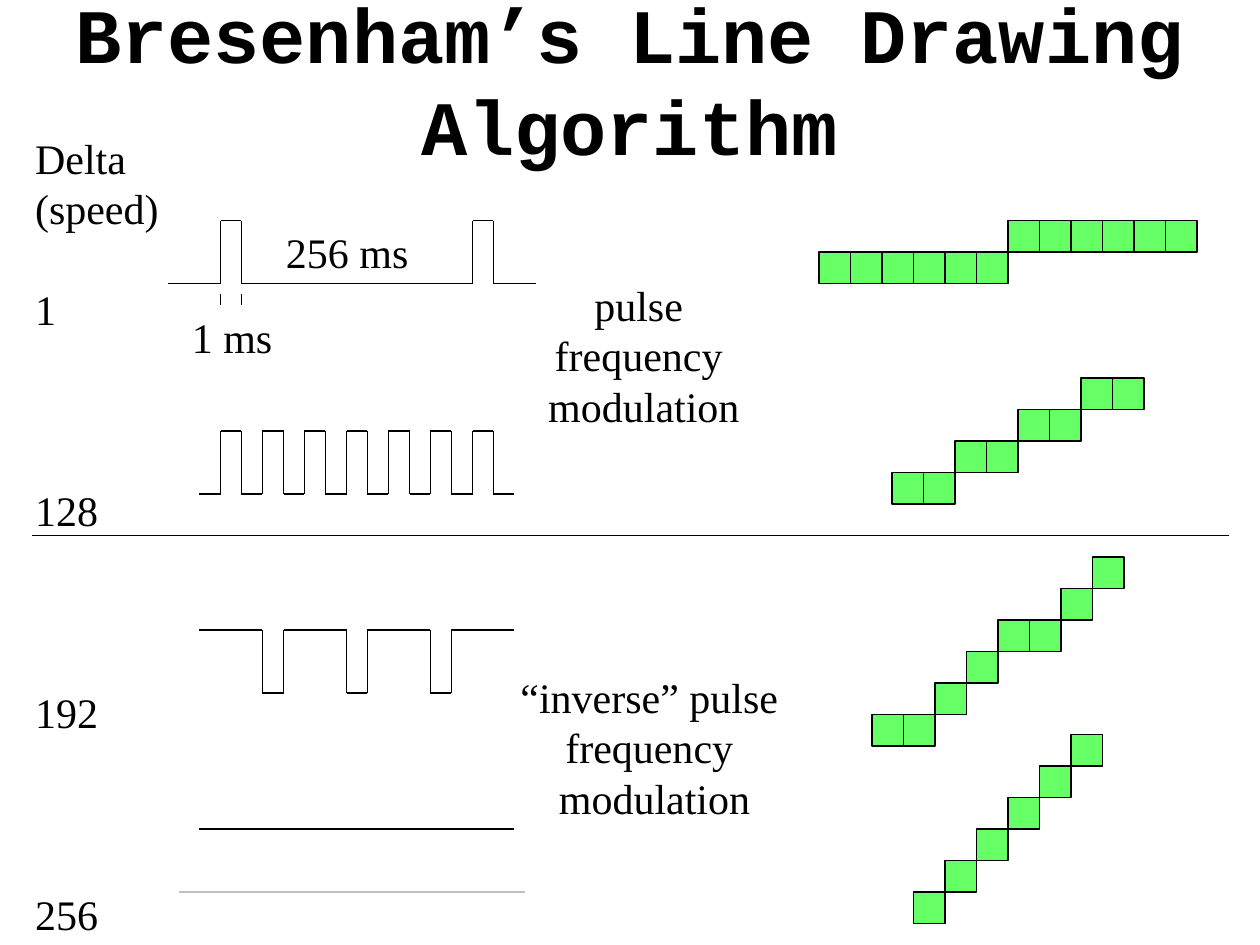
from itertools import pairwise

from lxml.etree import SubElement
from pptx import Presentation
from pptx.dml.color import RGBColor
from pptx.enum.shapes import MSO_CONNECTOR, MSO_SHAPE
from pptx.enum.text import MSO_ANCHOR, MSO_AUTO_SIZE, PP_ALIGN
from pptx.oxml.ns import qn
from pptx.util import Inches, Pt

BLACK = RGBColor(0, 0, 0)
GRAY = RGBColor(0xC0, 0xC0, 0xC0)
GREEN = RGBColor(0x66, 0xFF, 0x66)
THIN = Pt(0.75)
LINE_PITCH = 28.8  # points per line of 24 pt text

TITLE = "Bresenham’s Line Drawing Algorithm"
# text, lines skipped above it
SPEEDS = [("Delta (speed)", 0), ("1", 1), ("128", 3), ("192", 3), ("256", 3)]
# box, alignment, lines
NOTES = [
    ((1.42, 2.42, 0.84, 0.5), PP_ALIGN.RIGHT, ["1 ms"]),
    ((2.17, 1.75, 1.17, 0.5), PP_ALIGN.RIGHT, ["256 ms"]),
    ((4.25, 2.17, 1.72, 1.3), PP_ALIGN.CENTER,
     ["pulse ", "frequency ", "modulation"]),
    ((4.03, 5.28, 2.33, 1.3), PP_ALIGN.CENTER,
     ["“inverse” pulse ", "frequency ", "modulation"]),
]

TICK = 1 / 6  # width of one pulse
ORIGIN = 1.75  # left edge of the first pulse
# first tick, last tick, rest level, pulse level, ticks where pulses start
WAVES = [
    (-2.5, 15, 2.25, 1.75, [0, 12]),
    (-1, 14, 3.92, 3.42, range(0, 13, 2)),
    (-1, 14, 5, 5.5, [2, 6, 10]),
    (-1, 14, 6.58, 6.58, []),
]

PIXEL = 0.25
# left, top of the lowest row, pixels in each row going up
STAIRS = [
    (6.5, 2, [6, 6]),
    (7.08, 3.75, [2, 2, 2, 2]),
    (6.92, 5.67, [2, 1, 1, 2, 1, 1]),
    (7.25, 7.08, [1] * 6),
]


def add_line(s, start, end, color=BLACK):
    points = [Inches(v) for v in (*start, *end)]
    line = s.shapes.add_connector(MSO_CONNECTOR.STRAIGHT, *points)
    line.line.color.rgb = color
    line.line.width = THIN
    SubElement(line._element.spPr, qn("a:effectLst"))


def add_wave(s, first, last, rest, pulse, starts):
    points = [(first, rest)]
    for t in starts:
        points += [(t, rest), (t, pulse), (t + 1, pulse), (t + 1, rest)]
    points.append((last, rest))
    for start, end in pairwise([(ORIGIN + t * TICK, y) for t, y in points]):
        add_line(s, start, end)


def add_pixel(s, x, y):
    sp = s.shapes.add_shape(MSO_SHAPE.RECTANGLE, Inches(x), Inches(y),
                            Inches(PIXEL), Inches(PIXEL))
    sp.shadow.inherit = False
    sp.fill.solid()
    sp.fill.fore_color.rgb = GREEN
    sp.line.color.rgb = BLACK
    sp.line.width = THIN


def style(p, align, name, size, bold=False):
    p.alignment = align
    p.font.name = name
    p.font.size = Pt(size)
    p.font.bold = bold
    p.font.color.rgb = BLACK


def add_text(s, box, align, lines):
    """Add a text box from (text, lines skipped above) pairs."""
    tf = s.shapes.add_textbox(*map(Inches, box)).text_frame
    tf.word_wrap = False
    tf.auto_size = MSO_AUTO_SIZE.SHAPE_TO_FIT_TEXT
    for i, (text, skipped) in enumerate(lines):
        p = tf.add_paragraph() if i else tf.paragraphs[0]
        p.text = text
        if skipped:
            p.space_before = Pt(skipped * LINE_PITCH)
        style(p, align, "Times New Roman", 24)


def main():
    prs = Presentation()
    prs.slide_width, prs.slide_height = Inches(10), Inches(7.5)
    s = prs.slides.add_slide(prs.slide_layouts[5])

    title = s.shapes.title
    title.left, title.top = Inches(0), Inches(0)
    title.width, title.height = Inches(10), Inches(1.25)
    tf = title.text_frame
    tf.text = TITLE
    tf.word_wrap = True
    tf.auto_size = MSO_AUTO_SIZE.NONE
    tf.vertical_anchor = MSO_ANCHOR.MIDDLE
    style(tf.paragraphs[0], PP_ALIGN.CENTER, "Courier New", 44, bold=True)

    for wave in WAVES:
        add_wave(s, *wave)
    for x in (ORIGIN, ORIGIN + TICK):
        add_line(s, (x, 2.33), (x, 2.42))
    add_line(s, (1.42, 7.08), (4.17, 7.08), GRAY)
    add_line(s, (0.25, 4.25), (9.75, 4.25))

    for x, y, rows in STAIRS:
        for count in rows:
            for _ in range(count):
                add_pixel(s, x, y)
                x += PIXEL
            y -= PIXEL

    add_text(s, (0.18, 1, 1.98, 6.1), PP_ALIGN.LEFT, SPEEDS)
    for box, align, lines in NOTES:
        add_text(s, box, align, [(text, 0) for text in lines])

    prs.save("out.pptx")


if __name__ == "__main__":
    main()
